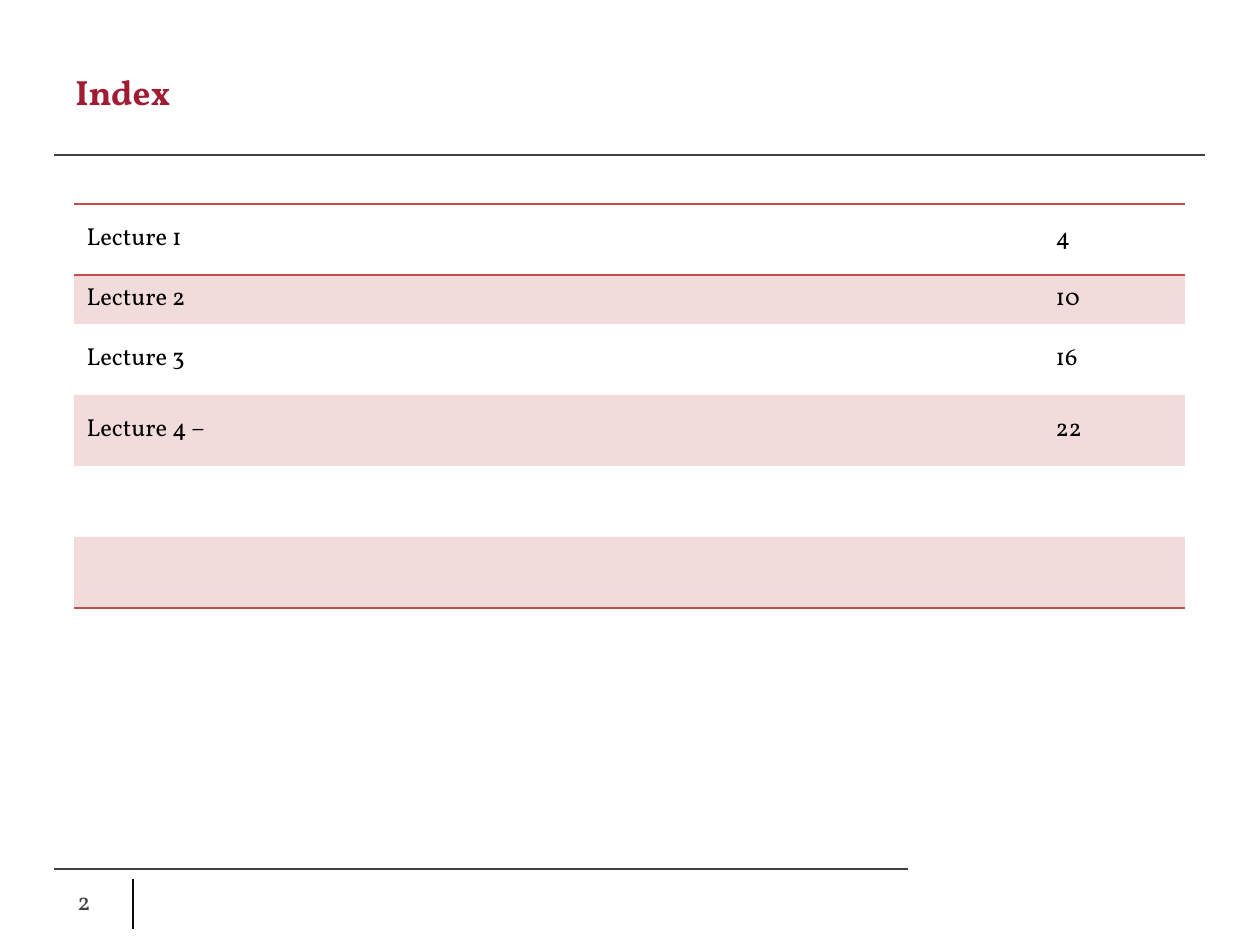
from lxml import etree
from pptx import Presentation
from pptx import util as u
from pptx.dml.color import RGBColor
from pptx.enum import text
from pptx.oxml import ns

PX = 914400 / 126
FONT = "Vollkorn"
COLOURS = {"title": "9F1C33", "rule": "404040", "divider": "0D0D0D",
           "accent": "C0504D", "body": "000000", "number": "404040"}


def px(*lengths):
    return [u.Emu(round(length * PX)) for length in lengths]


def style(frame, size, colour, bold=False):
    frame.vertical_anchor = text.MSO_ANCHOR.MIDDLE
    for run in frame.paragraphs[0].runs:
        run.font.name = FONT
        run.font.size = u.Pt(size)
        run.font.bold = bold
        run.font.color.rgb = RGBColor.from_string(COLOURS[colour])


deck = Presentation()
deck.slide_width, deck.slide_height = px(1260, 945)
slide = deck.slides.add_slide(deck.slide_layouts[6])

# Header rule, footer rule and page number divider
for ends, colour in [((54, 155, 1205, 155), "rule"),
                     ((54, 869, 908, 869), "rule"),
                     ((133, 879, 133, 929), "divider")]:
    rule = slide.shapes.add_connector(1, *px(*ends))
    rule.line.width = u.Pt(0.75)
    rule.line.color.rgb = RGBColor.from_string(COLOURS[colour])
    etree.SubElement(rule._element.spPr, ns.qn("a:effectLst"))

# Title and page number
for words, box, size, colour, bold in [
        ("Index", (63, 38, 1134, 107), 20, "title", True),
        ("2", (65, 876, 65, 50), 14, "number", False)]:
    frame = slide.shapes.add_textbox(*px(*box)).text_frame
    frame.word_wrap = True
    frame.text = words
    style(frame, size, colour, bold)

# Index table
lectures = [("Lecture 1", "4"), ("Lecture 2", "10"), ("Lecture 3", "16"),
            ("Lecture 4 – ", "22"), ("", ""), ("", "")]
heights = [71, 49, 71, 71, 71, 71]
borders = {0: ("lnT", "lnB"), len(lectures) - 1: ("lnB",)}
index = slide.shapes.add_table(
    len(lectures), 2, *px(74, 204, 1111, sum(heights))).table
index.first_row = index.horz_banding = False
# Table style without fills or grid
index._tbl.tblPr[0].text = "{2D5ABB26-0587-4C30-8999-92F81FD0307C}"
for column, width in zip(index.columns, px(969, 142)):
    column.width = width

for row, (entry, height) in enumerate(zip(lectures, px(*heights))):
    index.rows[row].height = height
    for col, words in enumerate(entry):
        cell = index.cell(row, col)
        cell.text_frame.text = words
        cell.text_frame.paragraphs[0].alignment = text.PP_ALIGN.JUSTIFY
        style(cell.text_frame, 14, "body")
        cell.vertical_anchor = text.MSO_ANCHOR.MIDDLE

        # Accent borders above and below the first row and at the bottom
        props = cell._tc.get_or_add_tcPr()
        for side in borders.get(row, ()):
            line = etree.SubElement(props, ns.qn("a:" + side), w="12700")
            paint = etree.SubElement(line, ns.qn("a:solidFill"))
            etree.SubElement(paint, ns.qn("a:srgbClr"), val=COLOURS["accent"])

        # Pale accent band on every second row
        if row % 2:
            cell.fill.solid()
            cell.fill.fore_color.rgb = RGBColor.from_string(COLOURS["accent"])
            tint = props.find(ns.qn("a:solidFill"))[0]
            etree.SubElement(tint, ns.qn("a:alpha"), val="20000")
        else:
            cell.fill.background()

deck.save("out.pptx")
